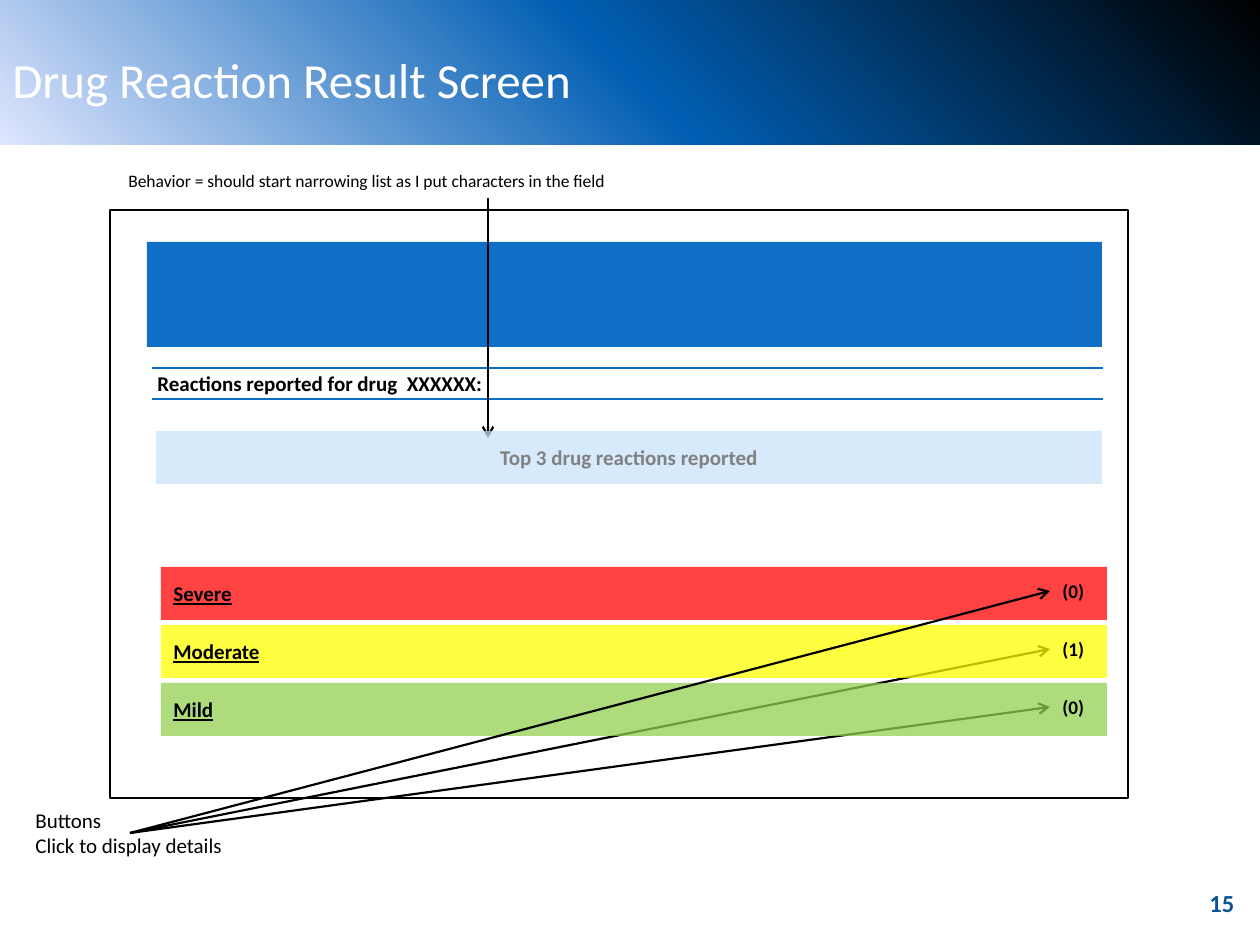
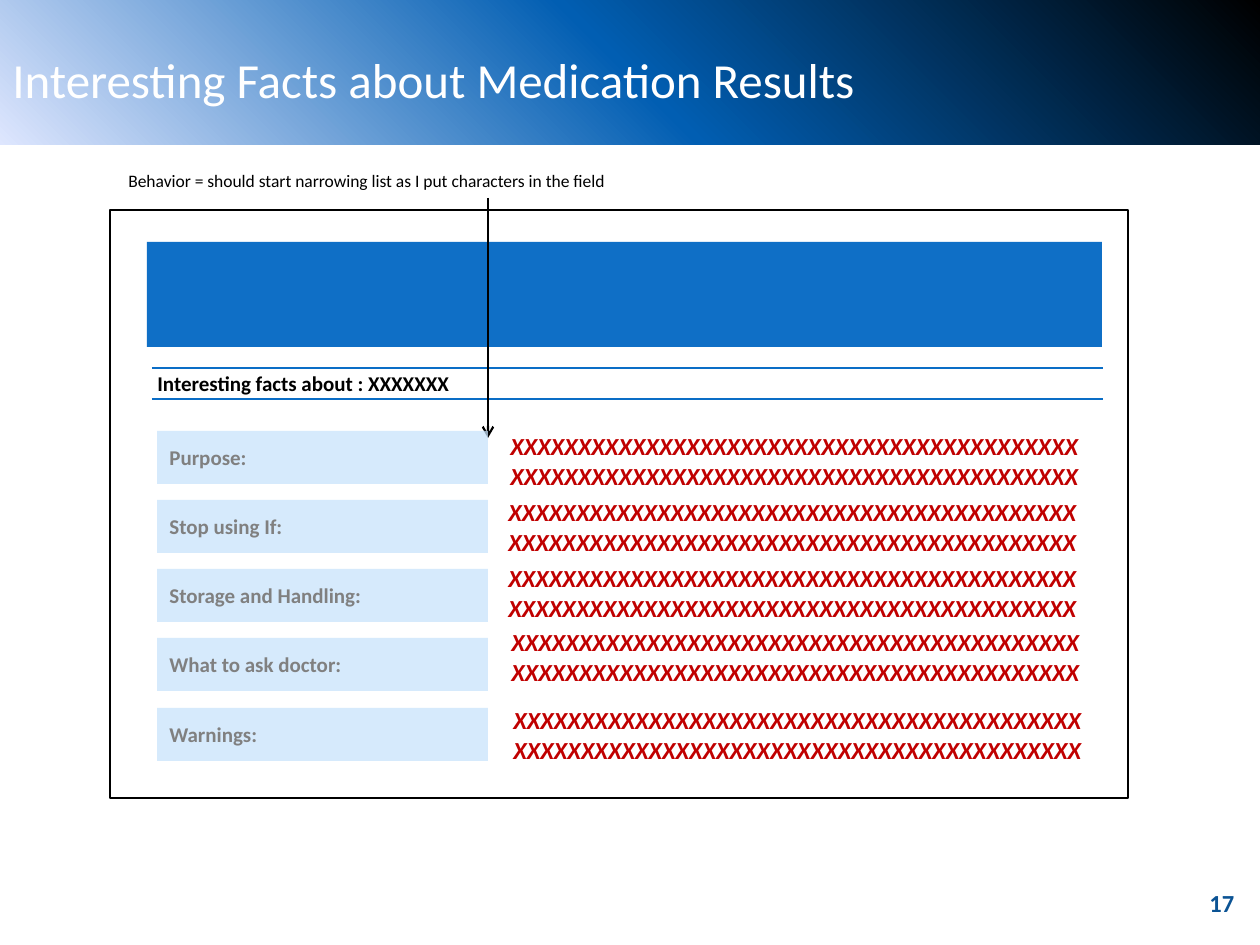
"""Build the two drug lookup mock-up slides."""
import copy
from dataclasses import dataclass
from typing import NamedTuple

import pptx
import pptx.dml.color
import pptx.enum.shapes
import pptx.enum.text
import pptx.oxml
import pptx.oxml.ns
import pptx.presentation
import pptx.shapes.autoshape
import pptx.shapes.connector
import pptx.slide
import pptx.util

RGBColor = pptx.dml.color.RGBColor
BLACK = RGBColor(0x00, 0x00, 0x00)
WHITE = RGBColor(0xFF, 0xFF, 0xFF)
BANNER_BLUE = RGBColor(0x01, 0x5E, 0xB2)
BANNER_PALE = RGBColor(0xDE, 0xE6, 0xFE)
NUMBER_BLUE = RGBColor(0x0B, 0x53, 0x94)
HEADER_BLUE = RGBColor(0x0F, 0x6F, 0xC6)
RULE_BLUE = RGBColor(0x0A, 0x6D, 0xC6)
LABEL_BLUE = RGBColor(0xC8, 0xE3, 0xFB)
LABEL_GRAY = RGBColor(0x80, 0x80, 0x80)
FACT_RED = RGBColor(0xC0, 0x00, 0x00)
RED = RGBColor(0xFF, 0x00, 0x00)
YELLOW = RGBColor(0xFF, 0xFF, 0x00)
GREEN = RGBColor(0x92, 0xD0, 0x50)

FONT = "Calibri"
PX = pptx.util.Inches(1) / 126
BAR_ALPHA = 74
BAR_HEIGHT = 53
LABEL_TOP = 431
SEVERITY_TOP = 567
SEVERITY_STEP = 58
LEFT = pptx.enum.text.PP_ALIGN.LEFT
CENTER = pptx.enum.text.PP_ALIGN.CENTER
TOP = pptx.enum.text.MSO_ANCHOR.TOP
MIDDLE = pptx.enum.text.MSO_ANCHOR.MIDDLE


class Box(NamedTuple):
    """Hold left, top, width and height in px."""
    left: int
    top: int
    width: int
    height: int


class Point(NamedTuple):
    """Hold a position in px."""
    x: int
    y: int


@dataclass(frozen=True)
class TextStyle:
    """Describe the font of a paragraph."""
    size: int
    color: RGBColor = BLACK
    bold: bool = False
    italic: bool = False
    underline: bool = False


@dataclass(frozen=True)
class Severity:
    """Describe a severity bar and its button."""
    name: str
    count: str
    color: RGBColor


@dataclass(frozen=True)
class Fact:
    """Describe a fact label and the place of its text."""
    label: str
    left: int
    top: int


TITLE = TextStyle(28, WHITE)
PAGE_NUMBER = TextStyle(14, NUMBER_BLUE, bold=True)
NOTE = TextStyle(10)
BUTTON_NOTE = TextStyle(12)
HEADING = TextStyle(12, bold=True)
SEVERITY = TextStyle(12, bold=True, underline=True)
COUNT = TextStyle(11, bold=True)
LABEL = TextStyle(12, LABEL_GRAY, bold=True)
FACT = TextStyle(14, FACT_RED, bold=True, italic=True)

SEVERITIES = (
    Severity("Severe", "(0)", RED),
    Severity("Moderate", "(1)", YELLOW),
    Severity("Mild", "(0)", GREEN),
)
FACTS = (
    Fact("Purpose:", 498, 425),
    Fact("Stop using If:", 496, 491),
    Fact("Storage and Handling:", 496, 557),
    Fact("What to ask doctor:", 499, 621),
    Fact("Warnings:", 501, 699),
)


def px(length: float) -> int:
    """Turn px into EMU."""
    return round(length * PX)


def element(tag: str, **attributes: str):
    """Make a drawing element."""
    node = pptx.oxml.parse_xml(f"<{tag} {pptx.oxml.ns.nsdecls('a')}/>")
    for name, value in attributes.items():
        node.set(name, value)
    return node


def write(shape: pptx.shapes.autoshape.Shape, text: str, style: TextStyle,
          align=LEFT, anchor=TOP) -> None:
    """Fill a shape with one paragraph per line of text."""
    frame = shape.text_frame
    frame.text = text
    frame.vertical_anchor = anchor
    for para in frame.paragraphs:
        para.alignment = align
        font = para.font
        font.name = FONT
        font.size = pptx.util.Pt(style.size)
        font.color.rgb = style.color
        font.bold = style.bold
        font.italic = style.italic
        font.underline = style.underline


def add_text(page: pptx.slide.Slide, box: Box, text: str, style: TextStyle,
             wrap: bool = False, anchor=TOP) -> pptx.shapes.autoshape.Shape:
    """Add a text box, which grows with its text if it does not wrap."""
    shape = page.shapes.add_textbox(*map(px, box))
    shape.text_frame.word_wrap = wrap
    if not wrap:
        shape.text_frame.auto_size = pptx.enum.text.MSO_AUTO_SIZE.SHAPE_TO_FIT_TEXT
    write(shape, text, style, anchor=anchor)
    return shape


def add_rectangle(page: pptx.slide.Slide, box: Box) -> pptx.shapes.autoshape.Shape:
    """Add a rectangle with neither fill, line nor shadow."""
    kind = pptx.enum.shapes.MSO_SHAPE.RECTANGLE
    shape = page.shapes.add_shape(kind, *map(px, box))
    shape.shadow.inherit = False
    shape.fill.background()
    shape.line.fill.background()
    return shape


def add_bar(page: pptx.slide.Slide, box: Box, color: RGBColor, text: str,
            style: TextStyle, align=LEFT) -> None:
    """Add a translucent bar with text."""
    bar = add_rectangle(page, box)
    bar.fill.solid()
    bar.fill.fore_color.rgb = color
    fill_color = bar._element.spPr.find(".//" + pptx.oxml.ns.qn("a:srgbClr"))
    fill_color.append(element("a:alpha", val=str(BAR_ALPHA * 1000)))
    write(bar, text, style, align, MIDDLE)


def add_line(page: pptx.slide.Slide, start: Point, end: Point, color: RGBColor,
             weight: float, arrow: bool = False) -> pptx.shapes.connector.Connector:
    """Add a straight line, with an arrowhead at its end if asked."""
    kind = pptx.enum.shapes.MSO_CONNECTOR.STRAIGHT
    line = page.shapes.add_connector(kind, *map(px, (*start, *end)))
    line.line.color.rgb = color
    line.line.width = pptx.util.Pt(weight)
    if arrow:
        line.line._get_or_add_ln().append(element("a:tailEnd", type="arrow"))
    line._element.spPr.append(element("a:effectLst"))
    return line


def add_banner(page: pptx.slide.Slide) -> None:
    """Add the gradient band behind the title."""
    banner = add_rectangle(page, Box(0, 0, 1260, 145))
    banner.fill.gradient()
    banner.fill.gradient_angle = 225
    first = banner._element.spPr.find(".//" + pptx.oxml.ns.qn("a:gs"))
    first.addnext(copy.deepcopy(first))
    colors = (BLACK, BANNER_BLUE, BANNER_PALE)
    for index, (stop, color) in enumerate(zip(banner.fill.gradient_stops, colors)):
        stop.color.rgb = color
        stop.position = index / 2


def add_screen(deck: pptx.presentation.Presentation, title: str, number: int,
               heading: str, heading_width: int) -> pptx.slide.Slide:
    """Add a slide with the title band, page number and screen frame."""
    page = deck.slides.add_slide(deck.slide_layouts[6])
    add_banner(page)
    add_text(page, Box(1197, 882, 63, 63), str(number), PAGE_NUMBER, wrap=True)
    add_text(page, Box(0, 21, 1134, 116), title, TITLE, wrap=True, anchor=MIDDLE)
    outline = add_rectangle(page, Box(110, 210, 1018, 588))
    outline.line.color.rgb = BLACK
    outline.line.width = pptx.util.Pt(1.5)
    add_text(page, Box(116, 164, 509, 34),
             "Behavior = should start narrowing list as I put characters in the field", NOTE)
    header = add_rectangle(page, Box(147, 242, 955, 105))
    header.fill.solid()
    header.fill.fore_color.rgb = HEADER_BLUE
    for y in (368, 399):
        add_line(page, Point(152, y), Point(1103, y), RULE_BLUE, 0.75)
    add_text(page, Box(145, 364, heading_width, 38), heading, HEADING)
    add_line(page, Point(488, 198), Point(488, 438), BLACK, 1.25, arrow=True)
    return page


def add_reactions(deck: pptx.presentation.Presentation) -> None:
    """Add the drug reaction slide."""
    page = add_screen(deck, "Drug Reaction Result Screen", 15,
                      "Reactions reported for drug  XXXXXX:", 354)
    add_text(page, Box(23, 801, 214, 63), "Buttons\nClick to display details", BUTTON_NOTE)

    def add_severity(index: int) -> pptx.shapes.autoshape.Shape:
        """Add one severity bar and return its count."""
        severity = SEVERITIES[index]
        top = SEVERITY_TOP + index * SEVERITY_STEP
        add_bar(page, Box(161, top, 946, BAR_HEIGHT), severity.color, severity.name, SEVERITY)
        return add_text(page, Box(1050, top + 6, 48, 36), severity.count, COUNT)

    def add_button_arrow(index: int) -> pptx.shapes.connector.Connector:
        """Add the arrow from the button note to one count."""
        end = Point(1050, SEVERITY_TOP + index * SEVERITY_STEP + 24)
        return add_line(page, Point(130, 833), end, BLACK, 1.25, arrow=True)

    counts = [add_severity(0)]
    lower_arrows = [add_button_arrow(1), add_button_arrow(2)]
    counts += [add_severity(1), add_severity(2)]
    for arrow, count in zip([add_button_arrow(0), *lower_arrows], counts):
        arrow.end_connect(count, 1)
    add_bar(page, Box(156, LABEL_TOP, 946, BAR_HEIGHT), LABEL_BLUE,
            "Top 3 drug reactions reported", LABEL, CENTER)


def add_facts(deck: pptx.presentation.Presentation) -> None:
    """Add the medication facts slide."""
    page = add_screen(deck, "Interesting Facts about Medication Results", 17,
                      "Interesting facts about : XXXXXXX", 321)
    filler = "\n".join(["X" * 42] * 2)
    for index, fact in enumerate(FACTS):
        top = LABEL_TOP + index * 277 // 4
        add_bar(page, Box(157, top, 331, BAR_HEIGHT), LABEL_BLUE, fact.label, LABEL)
        add_text(page, Box(fact.left, fact.top, 601, 72), filler, FACT)


def main() -> None:
    """Build and save the deck."""
    deck = pptx.Presentation()
    deck.slide_width = px(1260)
    deck.slide_height = px(945)
    add_reactions(deck)
    add_facts(deck)
    deck.save("out.pptx")


if __name__ == "__main__":
    main()
